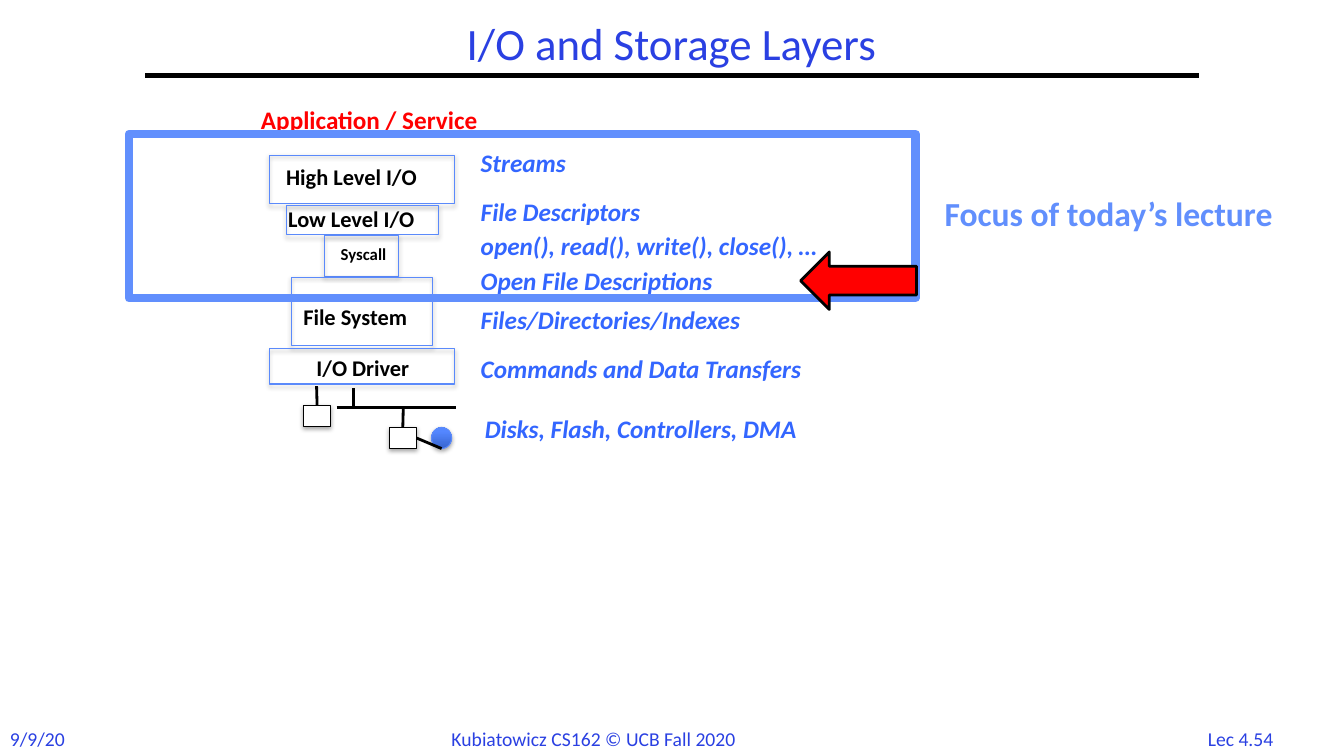
import pptx
import pptx.util
import pptx.dml.color
import pptx.enum.shapes
import pptx.enum.text
import pptx.oxml
import pptx.oxml.ns

Inches = pptx.util.Inches
Pt = pptx.util.Pt
SHAPE = pptx.enum.shapes.MSO_SHAPE
ALIGN = pptx.enum.text.PP_ALIGN

NAVY, BLUE, OUTLINE, FOCUS = "2A40E2", "3366FF", "5B8AFB", "618FFD"
BLACK, WHITE, RED = "000000", "FFFFFF", "FF0000"


def rgb(value):
    return pptx.dml.color.RGBColor.from_string(value)


class Deck:
    """Holds the text style and the current slide, and draws each kind of element."""

    font = "Calibri"

    def __init__(self, prs):
        self.slide = prs.slides.add_slide(prs.slide_layouts[5])

    def format(self, p, text, size, color, **style):
        r = p.add_run()
        r.text = text
        r.font.color.rgb = rgb(color)
        for name, value in {"name": self.font, "size": Pt(size), **style}.items():
            setattr(r.font, name, value)

    def title(self, text, box):
        sp = self.slide.shapes.title
        for name, value in zip(("left", "top", "width", "height"), box):
            setattr(sp, name, Inches(value))
        tf = sp.text_frame
        tf.vertical_anchor = pptx.enum.text.MSO_ANCHOR.MIDDLE
        p = tf.paragraphs[0]
        p.alignment = ALIGN.CENTER
        p.line_spacing = 0.9
        self.format(p, text, 32, NAVY)

    def text(self, text, box, size, color, align=ALIGN.LEFT, right=0.1, **style):
        tf = self.slide.shapes.add_textbox(*map(Inches, box)).text_frame
        frame = {"word_wrap": True, "margin_right": Inches(right),
                 "auto_size": pptx.enum.text.MSO_AUTO_SIZE.SHAPE_TO_FIT_TEXT}
        for name, value in frame.items():
            setattr(tf, name, value)
        p = tf.paragraphs[0]
        p.alignment = align
        self.format(p, text, size, color, **style)

    def shape(self, kind, box, line, width=0.75, fill=None, shadow=False):
        sp = self.slide.shapes.add_shape(kind, *map(Inches, box))
        sp.shadow.inherit = False
        sp.line.color.rgb = rgb(line)
        sp.line.width = Pt(width)
        if fill:
            sp.fill.solid()
            sp.fill.fore_color.rgb = rgb(fill)
        else:
            sp.fill.background()
        if shadow:
            effects = sp._element.spPr.find(pptx.oxml.ns.qn("a:effectLst"))
            effects.append(pptx.oxml.parse_xml(
                f'<a:outerShdw {pptx.oxml.ns.nsdecls("a")} blurRad="40000" dist="23000" '
                'dir="5400000" rotWithShape="0"><a:srgbClr val="000000">'
                '<a:alpha val="35000"/></a:srgbClr></a:outerShdw>'))
        return sp

    def line(self, start, end, width=2, begin=None, finish=None):
        cx = self.slide.shapes.add_connector(
            pptx.enum.shapes.MSO_CONNECTOR.STRAIGHT, *map(Inches, start + end))
        cx.line.color.rgb = rgb(BLACK)
        cx.line.width = Pt(width)
        cx._element.spPr.append(pptx.oxml.parse_xml(
            f'<a:effectLst {pptx.oxml.ns.nsdecls("a")}/>'))
        if begin:
            cx.begin_connect(*begin)
        if finish:
            cx.end_connect(*finish)


def main():
    prs = pptx.Presentation()
    prs.slide_width, prs.slide_height = Inches(13.33), Inches(7.5)
    s = Deck(prs)

    s.title("I/O and Storage Layers", (1.44, 0.17, 10.44, 0.58))
    s.line((1.44, 0.75), (11.89, 0.75), 3)
    s.text("9/9/20", (0, 7.16, 0.75, 0.34), 14, NAVY, right=0)
    s.text("Kubiatowicz CS162 © UCB Fall 2020", (4.38, 7.16, 3.43, 0.34), 14, NAVY)
    s.text("Lec 4.54", (11.82, 7.16, 0.97, 0.33), 14, NAVY, ALIGN.CENTER)

    layers = [
        ("High Level I/O", (2.74, 1.57, 1.76, 0.37), 16, (2.67, 1.54, 1.84, 0.48)),
        ("Low Level I/O", (2.76, 1.99, 1.71, 0.37), 16, (2.84, 2.04, 1.51, 0.29)),
        ("Syscall", (3.28, 2.37, 0.78, 0.3), 12, (3.22, 2.34, 0.73, 0.4)),
        ("File System", (2.91, 2.96, 1.45, 0.37), 16, (2.89, 2.75, 1.4, 0.68)),
        ("I/O Driver", (3.04, 3.46, 1.22, 0.37), 16, (2.67, 3.46, 1.84, 0.35)),
    ]
    for label, label_box, size, layer_box in layers:
        s.text(label, label_box, size, BLACK, bold=True)
        s.shape(SHAPE.RECTANGLE, layer_box, OUTLINE, shadow=True)

    s.line((3.34, 4.04), (4.52, 4.04))
    s.line((3.51, 3.85), (3.51, 4.04))
    controller, device = [
        s.shape(SHAPE.RECTANGLE, (x, y, 0.27, 0.21), BLACK, fill=WHITE, shadow=True)
        for x, y in ((3.86, 4.24), (3.01, 4.02))]
    disk = s.shape(SHAPE.OVAL, (4.28, 4.24, 0.2, 0.21), OUTLINE, shadow=True)
    disk.fill.gradient()
    disk.fill.gradient_angle = 90
    for stop, position, color in zip(disk.fill.gradient_stops, (0, 0.8), ("3764CE", "5487FF")):
        stop.position = position
        stop.color.rgb = rgb(color)
    s.line((4, 4.04), (4, 4.24), finish=(controller, 0))
    s.line((4.13, 4.34), (4.28, 4.34), begin=(controller, 3), finish=(disk, 2))
    s.line((3.14, 3.83), (3.14, 4.02), finish=(device, 0))

    s.text("Application / Service", (2.49, 0.99, 2.68, 0.4), 18, RED, bold=True)
    interfaces = [
        ("Streams", 4.67, 1.41),
        ("File Descriptors", 4.67, 1.9),
        ("open(), read(), write(), close(), …", 4.67, 2.24),
        ("Open File Descriptions", 4.67, 2.58),
        ("Files/Directories/Indexes", 4.67, 2.97),
        ("Commands and Data Transfers", 4.67, 3.46),
        ("Disks, Flash, Controllers, DMA", 4.71, 4.05),
    ]
    for label, x, y in interfaces:
        s.text(label, (x, y, 4.06, 0.4), 18, BLUE, bold=True, italic=True)

    s.shape(SHAPE.RECTANGLE, (1.28, 1.33, 7.8, 1.63), FOCUS, 6)
    s.text("Focus of today’s lecture", (9.27, 1.86, 4.06, 0.5), 24, FOCUS, bold=True)
    s.shape(SHAPE.LEFT_ARROW, (7.94, 2.5, 1.15, 0.57), BLACK, 2, RED)

    prs.save("out.pptx")


if __name__ == "__main__":
    main()
